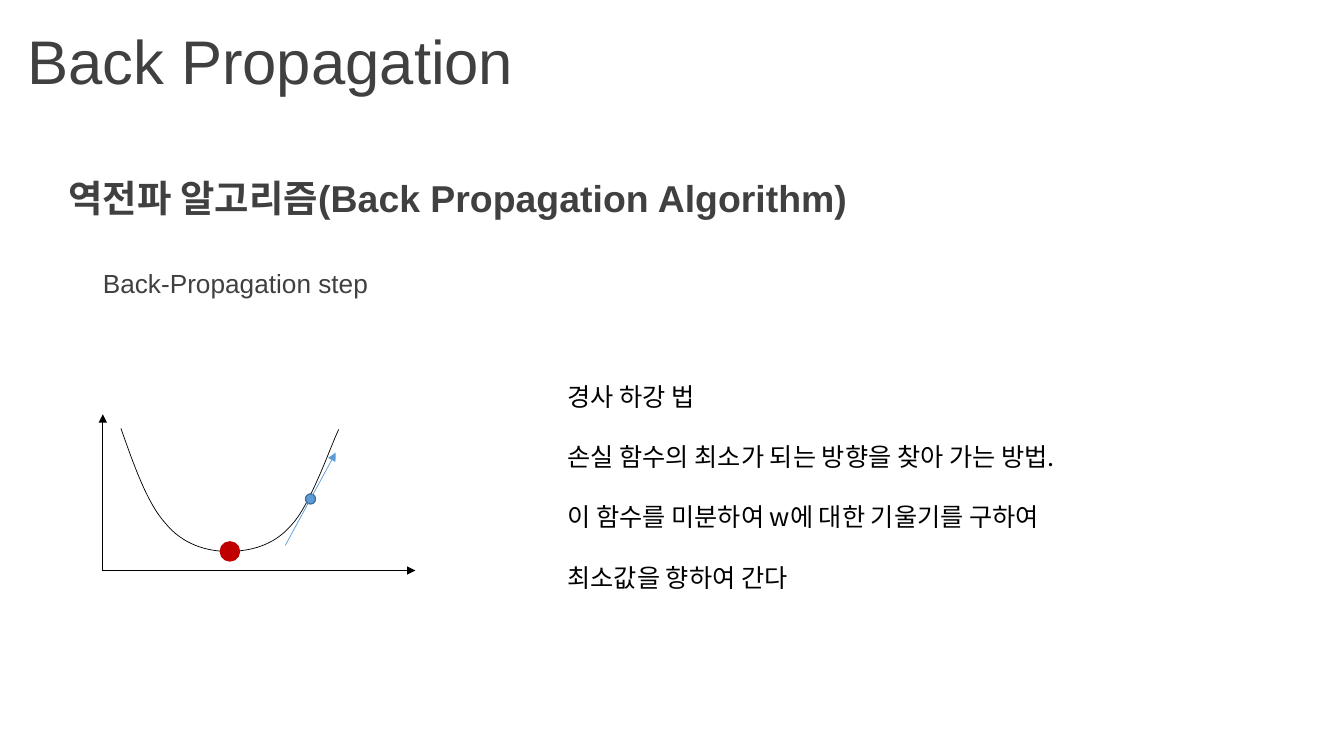
from dataclasses import dataclass

from lxml.etree import SubElement
from pptx import Presentation
from pptx.dml.color import RGBColor
from pptx.enum.shapes import MSO_CONNECTOR, MSO_SHAPE
from pptx.enum.text import MSO_ANCHOR, PP_ALIGN
from pptx.oxml.ns import qn
from pptx.slide import Slide
from pptx.text.text import TextFrame
from pptx.util import Inches, Pt

Point = tuple[float, float]


@dataclass(frozen=True)
class Theme:
    latin: str = "Arial"
    korean: str = "Noto Sans CJK KR"
    heading: str = "404040"
    ink: str = "000000"
    blue: str = "5B9BD5"
    blue_edge: str = "43739E"
    red: str = "C00000"
    title_size: float = 44
    section_size: float = 26.7
    step_size: float = 18.7
    body_size: float = 18
    thin: float = 0.5
    edge: float = 1


THEME = Theme()


@dataclass(frozen=True)
class TextStyle:
    size: float
    color: str = THEME.heading
    font: str = THEME.latin
    bold: bool = False
    line_spacing: float = 0.9
    gap: float = 0


@dataclass(frozen=True)
class TextBlock:
    lines: tuple[str, ...]
    box: tuple[float, float, float, float]
    style: TextStyle
    inset: float = 0.1
    anchor: MSO_ANCHOR = MSO_ANCHOR.TOP


@dataclass(frozen=True)
class Arrow:
    start: Point
    end: Point
    color: str


@dataclass(frozen=True)
class Dot:
    center: Point
    diameter: float
    fill: str
    edge: str


TITLE = TextBlock(("Back Propagation",), (0, 0, 13.33, 1.29),
                  TextStyle(THEME.title_size), 0.27, MSO_ANCHOR.MIDDLE)
TEXT_BLOCKS = (
    TextBlock(("역전파 알고리즘(Back Propagation Algorithm)",), (0.58, 1.65, 12.39, 0.67),
              TextStyle(THEME.section_size, bold=True), anchor=MSO_ANCHOR.MIDDLE),
    TextBlock(("Back-Propagation step",), (0.59, 2.64, 12.39, 0.6),
              TextStyle(THEME.step_size), 0.43),
    TextBlock(("경사 하강 법",
               "손실 함수의 최소가 되는 방향을 찾아 가는 방법.",
               "이 함수를 미분하여 w에 대한 기울기를 구하여",
               "최소값을 향하여 간다"), (5.53, 3.73, 5.66, 2.83),
              TextStyle(THEME.body_size, THEME.ink, THEME.korean, line_spacing=1, gap=21.5)),
)

AXES = (Arrow((1.02, 5.66), (1.02, 4.11), THEME.ink),
        Arrow((1.02, 5.66), (4.12, 5.66), THEME.ink))
GRADIENT = Arrow((2.83, 5.41), (3.33, 4.49), THEME.blue)
CURRENT_WEIGHT = Dot((3.08, 4.95), 0.1, THEME.blue, THEME.blue_edge)
MINIMUM = Dot((2.28, 5.47), 0.19, THEME.red, THEME.red)

# Loss curve: a start point, then two controls and an end for each Bezier span
LOSS_START = (1.2, 4.25)
LOSS_SPANS = (
    ((1.33, 4.62), (1.46, 4.99), (1.64, 5.19)),
    ((1.81, 5.4), (2.05, 5.47), (2.26, 5.47)),
    ((2.47, 5.47), (2.71, 5.42), (2.89, 5.21)),
    ((3.08, 5.01), (3.27, 4.45), (3.36, 4.26)),
)


def write_text(frame: TextFrame, block: TextBlock) -> None:
    style = block.style
    frame.word_wrap = True
    frame.vertical_anchor = block.anchor
    frame.margin_left = Inches(block.inset)
    frame.text = "\n".join(block.lines)
    for index, paragraph in enumerate(frame.paragraphs):
        paragraph.alignment = PP_ALIGN.LEFT
        paragraph.line_spacing = style.line_spacing
        paragraph.space_before = Pt(style.gap if index else 0)
        font = paragraph.font
        font.size = Pt(style.size)
        font.bold = style.bold
        font.color.rgb = RGBColor.from_string(style.color)
        font.name = style.font
        defaults = paragraph._p.pPr.find(qn("a:defRPr"))
        SubElement(defaults, qn("a:ea"), typeface=THEME.korean)


def add_title(slide: Slide, block: TextBlock) -> None:
    title = slide.shapes.title
    title.left, title.top, title.width, title.height = map(Inches, block.box)
    write_text(title.text_frame, block)


def add_text(slide: Slide, block: TextBlock) -> None:
    box = slide.shapes.add_textbox(*map(Inches, block.box))
    write_text(box.text_frame, block)


def add_arrow(slide: Slide, arrow: Arrow) -> None:
    connector = slide.shapes.add_connector(
        MSO_CONNECTOR.STRAIGHT, *map(Inches, arrow.start + arrow.end))
    connector.line.width = Pt(THEME.thin)
    connector.line.color.rgb = RGBColor.from_string(arrow.color)
    SubElement(connector.line._get_or_add_ln(), qn("a:tailEnd"), type="triangle")
    SubElement(connector._element.spPr, qn("a:effectLst"))


def add_dot(slide: Slide, dot: Dot) -> None:
    x, y = (value - dot.diameter / 2 for value in dot.center)
    oval = slide.shapes.add_shape(
        MSO_SHAPE.OVAL, *map(Inches, (x, y, dot.diameter, dot.diameter)))
    oval.shadow.inherit = False
    oval.fill.solid()
    oval.fill.fore_color.rgb = RGBColor.from_string(dot.fill)
    oval.line.color.rgb = RGBColor.from_string(dot.edge)
    oval.line.width = Pt(THEME.edge)


def bezier(a: Point, b: Point, c: Point, d: Point, t: float) -> Point:
    x, y = ((1 - t) ** 3 * p + 3 * (1 - t) ** 2 * t * q + 3 * (1 - t) * t ** 2 * r + t ** 3 * s
            for p, q, r, s in zip(a, b, c, d))
    return x, y


def add_loss_curve(slide: Slide, steps: int = 16) -> None:
    points = [LOSS_START]
    for first, second, end in LOSS_SPANS:
        start = points[-1]
        points += [bezier(start, first, second, end, i / steps) for i in range(1, steps + 1)]
    vertices = [(Inches(x), Inches(y)) for x, y in points]
    builder = slide.shapes.build_freeform(*vertices[0])
    builder.add_line_segments(vertices[1:], close=False)
    curve = builder.convert_to_shape()
    curve.shadow.inherit = False
    curve.fill.background()
    curve.line.color.rgb = RGBColor.from_string(THEME.ink)
    curve.line.width = Pt(THEME.thin)


def main() -> None:
    presentation = Presentation()
    presentation.slide_width = Inches(13.33)
    presentation.slide_height = Inches(7.5)
    slide = presentation.slides.add_slide(presentation.slide_layouts.get_by_name("Title Only"))

    # Headings and explanation
    add_title(slide, TITLE)
    for block in TEXT_BLOCKS:
        add_text(slide, block)

    # Gradient descent diagram
    for axis in AXES:
        add_arrow(slide, axis)
    add_loss_curve(slide)
    add_dot(slide, CURRENT_WEIGHT)
    add_arrow(slide, GRADIENT)
    add_dot(slide, MINIMUM)

    presentation.save("out.pptx")


if __name__ == "__main__":
    main()
